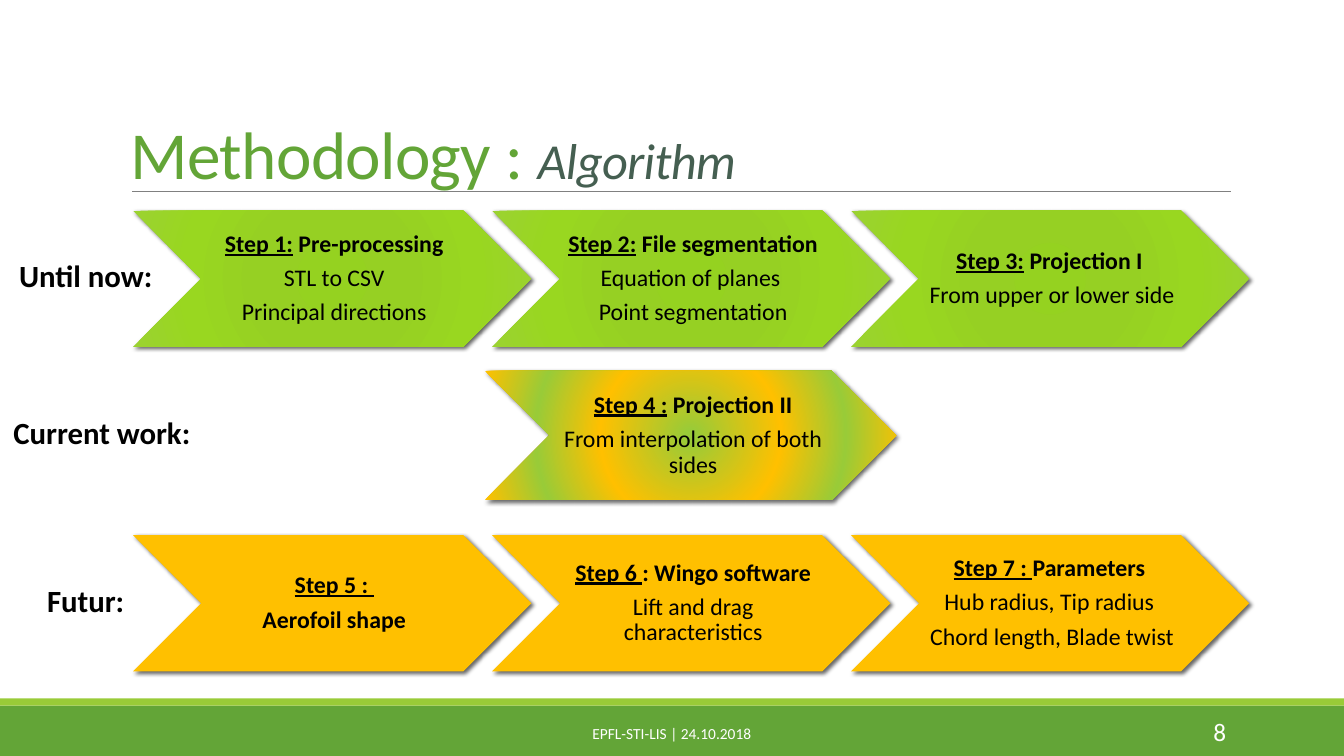
from lxml.etree import SubElement
from pptx import Presentation
from pptx.dml.color import RGBColor
from pptx.enum.shapes import MSO_CONNECTOR, MSO_SHAPE
from pptx.enum.text import MSO_ANCHOR, PP_ALIGN
from pptx.oxml import parse_xml
from pptx.oxml.ns import nsdecls, qn
from pptx.util import Pt

PX = 9144
FONT = "Calibri"
GREEN = RGBColor(0x63, 0xA5, 0x37)
LIME = RGBColor(0x99, 0xCB, 0x38)
AMBER = RGBColor(0xFF, 0xC0, 0x00)
SLATE = RGBColor(0x45, 0x5F, 0x51)
GRAY = RGBColor(0x80, 0x80, 0x80)
BLACK = RGBColor(0, 0, 0)
WHITE = RGBColor(0xFF, 0xFF, 0xFF)
DONE = [
    (0, RGBColor(0x95, 0xD2, 0x20)),
    (34, RGBColor(0x96, 0xD0, 0x23)),
    (70, RGBColor(0x99, 0xD7, 0x20)),
    (100, RGBColor(0x9B, 0xD2, 0x31)),
]
ACTIVE = [(2, LIME), (42, AMBER), (72, LIME), (100, AMBER)]

LEFT, PITCH, WIDE, HIGH = 132, 356, 395, 135
ROWS = [
    (531, AMBER, [
        [("Step 5 : ", ""), ("", "Aerofoil shape")],
        [("Step 6 ", ": Wingo software"), "Lift and drag characteristics"],
        [("Step 7 : ", "Parameters "), "Hub radius, Tip radius ",
         "Chord length, Blade twist"],
    ]),
    (209, DONE, [
        [("Step 1:", " Pre-processing"), "STL to CSV", "Principal directions"],
        [("Step 2:", " File segmentation"), "Equation of planes ",
         "Point segmentation"],
        [("Step 3:", " Projection I "), "From upper or lower side"],
    ]),
]
CURRENT = [("Step 4 :", " Projection II"), "From interpolation of both sides"]
LABELS = [("Until now:", -16, 254), ("Current work:", 0, 410), ("Futur:", -16, 576)]


class Canvas:
    """Draws styled elements on one slide, with lengths in px."""

    def __init__(self, slide):
        self.shapes = slide.shapes

    def scale(self, *sizes):
        return [size * PX for size in sizes]

    def block(self, kind, box, fill):
        shape = self.shapes.add_shape(kind, *self.scale(*box))
        shape.shadow.inherit = False
        shape.line.fill.background()
        if isinstance(fill, RGBColor):
            shape.fill.solid()
            shape.fill.fore_color.rgb = fill
        else:
            self.radial(shape, fill)
        return shape

    def radial(self, shape, stops):
        marks = "".join(
            f'<a:gs pos="{spot * 1000}"><a:srgbClr val="{color}"/></a:gs>'
            for spot, color in stops
        )
        shape._element.spPr.insert(2, parse_xml(
            f'<a:gradFill {nsdecls("a")}><a:gsLst>{marks}</a:gsLst>'
            '<a:path path="circle"><a:fillToRect l="100000" t="100000" '
            'r="100000" b="100000"/></a:path></a:gradFill>'
        ))

    def rule(self, left, top, right, color):
        ends = self.scale(left, top, right, top)
        line = self.shapes.add_connector(MSO_CONNECTOR.STRAIGHT, *ends)
        line.line.color.rgb = color
        line.line.width = Pt(0.5)
        SubElement(line._element.spPr, qn("a:effectLst"))

    def frame(self, box, anchor):
        frame = self.shapes.add_textbox(*self.scale(*box)).text_frame
        frame.word_wrap = True
        frame.vertical_anchor = anchor
        return frame

    def style(self, para, size, color, align, bold=False):
        para.alignment = align
        font = para.font
        font.name, font.size, font.bold = FONT, Pt(size), bold
        font.color.rgb = color

    def text(self, box, words, size, color, align, anchor=MSO_ANCHOR.MIDDLE):
        para = self.frame(box, anchor).paragraphs[0]
        self.style(para, size, color, align)
        para.add_run().text = words

    def label(self, words, left, top):
        para = self.frame((left, top, 202, 45), MSO_ANCHOR.TOP).paragraphs[0]
        self.style(para, 22, BLACK, PP_ALIGN.CENTER, True)
        para.line_spacing = 0.9
        para.space_before = Pt(10)
        para.add_run().text = words

    def title(self, box, parts):
        para = self.frame(box, MSO_ANCHOR.BOTTOM).paragraphs[0]
        para.line_spacing = 0.85
        para.font.name = FONT
        for words, size, color, slant in parts:
            run = para.add_run()
            run.text = words
            run.font.size = Pt(size)
            run.font.color.rgb = color
            run.font.italic = slant
            run._r.get_or_add_rPr().set("spc", "-50")

    def step(self, box, fill, lines):
        shape = self.block(MSO_SHAPE.CHEVRON, box, fill)
        glow = shape._element.spPr.find(qn("a:effectLst"))
        glow.append(parse_xml(
            f'<a:outerShdw {nsdecls("a")} blurRad="38100" dist="25400" '
            'dir="2700000" rotWithShape="0"><a:srgbClr val="000000">'
            '<a:alpha val="60000"/></a:srgbClr></a:outerShdw>'
        ))
        left, top, width, height = box
        inner = (left + height // 2, top, width - height, height)
        frame = self.frame(inner, MSO_ANCHOR.MIDDLE)
        frame.margin_left = 7 * PX
        frame.margin_top = frame.margin_right = frame.margin_bottom = 2 * PX
        for order, line in enumerate(lines):
            para = frame.add_paragraph() if order else frame.paragraphs[0]
            head = isinstance(line, tuple)
            self.style(para, 17, BLACK, PP_ALIGN.CENTER, head)
            para.line_spacing = 0.9
            para.space_after = Pt(6)
            under, plain = line if head else ("", line)
            if under:
                run = para.add_run()
                run.text = under
                run.font.underline = True
            if plain:
                para.add_run().text = plain


def main():
    deck = Presentation()
    deck.slide_width, deck.slide_height = 1333 * PX, 750 * PX
    canvas = Canvas(deck.slides.add_slide(deck.slide_layouts[6]))

    canvas.block(MSO_SHAPE.RECTANGLE, (0, 700, 1333, 50), GREEN)
    canvas.block(MSO_SHAPE.RECTANGLE, (0, 693, 1333, 7), LIME)
    canvas.rule(131, 190, 1221, GRAY)
    canvas.text((1083, 706, 143, 40), "8", 18, WHITE, PP_ALIGN.RIGHT)
    canvas.title((120, -17, 1106, 214), [
        ("Methodology : ", 48, GREEN, False),
        ("Algorithm", 36, SLATE, True),
    ])
    canvas.text((403, 708, 527, 40), "EPFL-STI-LIS | 24.10.2018", 11, WHITE,
                PP_ALIGN.CENTER)

    canvas.step((481, 368, 408, 128), ACTIVE, CURRENT)
    for top, fill, steps in ROWS:
        for col, lines in enumerate(steps):
            canvas.step((LEFT + col * PITCH, top, WIDE, HIGH), fill, lines)
    for label in LABELS:
        canvas.label(*label)

    deck.save("out.pptx")


if __name__ == "__main__":
    main()
